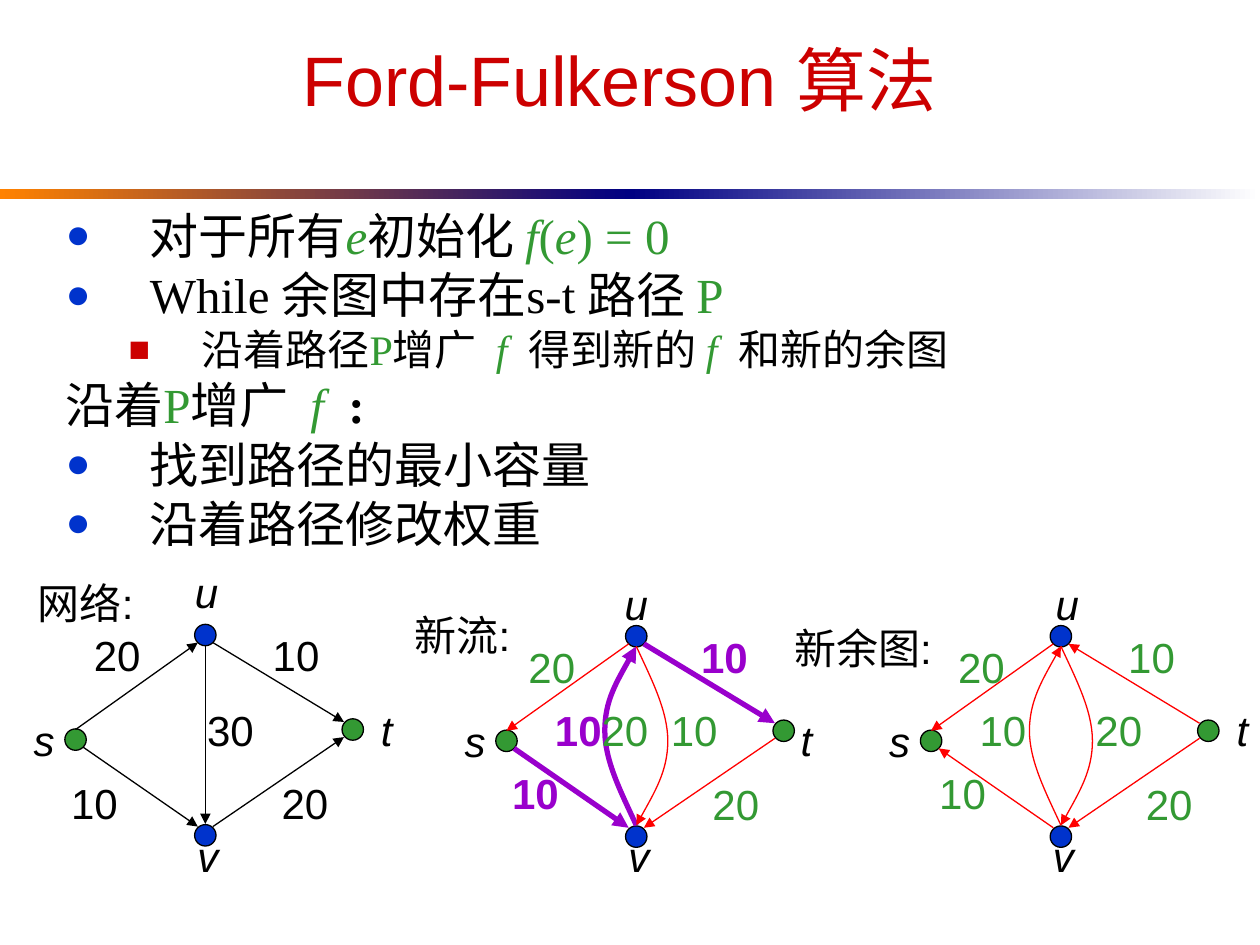
from lxml import etree
from pptx import Presentation
from pptx.dml.color import RGBColor
from pptx.enum.shapes import MSO_CONNECTOR, MSO_SHAPE
from pptx.enum.text import MSO_ANCHOR, MSO_AUTO_SIZE, PP_ALIGN
from pptx.oxml.ns import qn
from pptx.util import Inches, Pt

LINE, RECT, OVAL = MSO_CONNECTOR.STRAIGHT, MSO_SHAPE.RECTANGLE, MSO_SHAPE.OVAL
CENTER, MIDDLE, TOP = PP_ALIGN.CENTER, MSO_ANCHOR.MIDDLE, MSO_ANCHOR.TOP
NO_FIT = MSO_AUTO_SIZE.NONE

BLACK = RGBColor(0x00, 0x00, 0x00)
WHITE = RGBColor(0xFF, 0xFF, 0xFF)
CRIMSON = RGBColor(0xCC, 0x00, 0x00)
GREEN = RGBColor(0x33, 0x99, 0x33)
BLUE = RGBColor(0x00, 0x33, 0xCC)
RED = RGBColor(0xFF, 0x00, 0x00)
PURPLE = RGBColor(0x99, 0x00, 0xCC)
ORANGE = RGBColor(0xFF, 0x82, 0x00)
NAVY = RGBColor(0x00, 0x00, 0x82)

SANS, SERIF = "Arial", "Times New Roman"
THIN, THICK = 0.75, 3
NODE_SIZE = 0.17

# Run styles of the body text
PLAIN = {"color": BLACK}
MATH = {"color": GREEN}
VAR = {"color": GREEN, "italic": True}
BOLD = {"color": BLACK, "bold": True}

# Level, bullet, runs
BODY = [
    (0, "●", [("对于所有", PLAIN), ("e", VAR), ("初始化 ", PLAIN), ("f", VAR),
              ("(", MATH), ("e", VAR), (") = 0", MATH)]),
    (0, "●", [("While 余图中存在s-t 路径 ", PLAIN), ("P", MATH)]),
    (1, "■", [("沿着路径", PLAIN), ("P", MATH), ("增广  ", PLAIN), ("f  ", VAR),
              ("得到新的 ", PLAIN), ("f  ", VAR), ("和新的余图", PLAIN)]),
    (0, None, [("沿着", PLAIN), ("P", MATH), ("增广  ", PLAIN), ("f  ", VAR),
               (":", BOLD)]),
    (0, "●", [("找到路径的最小容量", PLAIN)]),
    (0, "●", [("沿着路径修改权重", PLAIN)]),
]
# Left margin, hanging indent, size, space before, bullet colour by level
LEVELS = [(0.67, -0.67, 28, 7, BLUE), (1.08, -0.58, 24, 6, CRIMSON)]

# Graph geometry in inches from the graph's own corner
NODES = {"s": (0.6, 1.37, GREEN), "u": (1.63, 0.54, BLUE),
         "t": (2.8, 1.29, GREEN), "v": (1.63, 2.13, BLUE)}
EDGES = {"su": ((0.6, 1.29), (1.57, 0.6)), "ut": ((1.69, 0.6), (2.73, 1.23)),
         "sv": ((0.66, 1.43), (1.57, 2.06)), "vt": ((1.69, 2.06), (2.73, 1.35)),
         "uv": ((1.63, 0.62), (1.63, 2.04))}
BEND = [(0.12, 0.26), (0.25, 0.51), (0.25, 0.75),
        (0.25, 0.99), (0.12, 1.2), (0, 1.42)]

# Corner, caption and its centre, node name places, edges, numbers
GRAPHS = [
    ((0, 4.5), "网络:", (0.68, 0.28),
     {"s": (0.35, 1.37), "u": (1.64, 0.2), "t": (3.07, 1.29), "v": (1.65, 2.29)},
     [(e, BLACK, THIN, False) for e in EDGES],
     [("20", 0.93, 0.7, BLACK), ("10", 2.35, 0.7, BLACK), ("30", 1.83, 1.29, BLACK),
      ("10", 0.75, 1.87, BLACK), ("20", 2.42, 1.87, BLACK)]),
    ((3.42, 4.51), "新流:", (0.25, 0.53),
     {"s": (0.35, 1.37), "u": (1.63, 0.28), "t": (2.98, 1.36), "v": (1.65, 2.28)},
     [("ut", PURPLE, THICK, False), ("us", RED, THIN, False),
      ("sv", PURPLE, THICK, False), ("tv", RED, THIN, False),
      ("vu", PURPLE, THICK, True), ("uv", RED, THIN, True)],
     [("20", 0.96, 0.78, GREEN), ("10", 2.33, 0.7, PURPLE), ("10", 0.83, 1.78, PURPLE),
      ("20", 2.42, 1.87, GREEN), ("10", 2.09, 1.28, GREEN),
      ("10", 1.17, 1.28, PURPLE), ("20", 1.54, 1.28, GREEN)]),
    ((6.79, 4.51), "新余图:", (0.06, 0.63),
     {"s": (0.35, 1.37), "u": (1.68, 0.28), "t": (3.07, 1.28), "v": (1.65, 2.28)},
     [("tu", RED, THIN, False), ("us", RED, THIN, False), ("vs", RED, THIN, False),
      ("tv", RED, THIN, False), ("vu", RED, THIN, True), ("uv", RED, THIN, True)],
     [("20", 1.0, 0.78, GREEN), ("10", 2.35, 0.7, GREEN), ("10", 0.85, 1.78, GREEN),
      ("20", 2.49, 1.87, GREEN), ("20", 2.09, 1.28, GREEN), ("10", 1.17, 1.28, GREEN)]),
]


def add_run(p, text, size, font, color=BLACK, **style):
    r = p.add_run()
    r.text = text
    r.font.color.rgb = color
    for name, value in {"size": Pt(size), "name": font, **style}.items():
        setattr(r.font, name, value)


def place(sp, *box):
    for name, value in zip(("left", "top", "width", "height"), box):
        setattr(sp, name, Inches(value))


def set_bullet(p, char, color):
    pPr = p._p.get_or_add_pPr()
    if char is None:
        etree.SubElement(pPr, qn("a:buNone"))
        return
    clr = etree.SubElement(pPr, qn("a:buClr"))
    etree.SubElement(clr, qn("a:srgbClr"), val=str(color))
    etree.SubElement(pPr, qn("a:buSzPct"), val="85000")
    etree.SubElement(pPr, qn("a:buFont"), typeface=SANS)
    etree.SubElement(pPr, qn("a:buChar"), char=char)


def add_title(s, text):
    sp = s.shapes.title
    place(sp, 0.33, 0, 9.17, 1.25)
    tf = sp.text_frame
    tf.auto_size, tf.vertical_anchor = NO_FIT, MIDDLE
    p = tf.paragraphs[0]
    p.alignment = CENTER
    add_run(p, text, 40, SANS, CRIMSON)


def add_body(s):
    sp = s.placeholders[1]
    place(sp, 0.42, 1.67, 9.42, 2.93)
    tf = sp.text_frame
    tf.auto_size, tf.vertical_anchor = NO_FIT, TOP
    for i, (level, bullet, runs) in enumerate(BODY):
        p = tf.add_paragraph() if i else tf.paragraphs[0]
        margin, indent, size, before, color = LEVELS[level]
        p.level, p.line_spacing, p.space_before = level, 0.8, Pt(before)
        pPr = p._p.get_or_add_pPr()
        pPr.set("marL", str(Inches(margin)))
        pPr.set("indent", str(Inches(indent)))
        set_bullet(p, bullet, color)
        for text, style in runs:
            add_run(p, text, size, SERIF, **style)


def add_band(s, x, start, end):
    sp = s.shapes.add_shape(RECT, Inches(x), Inches(1.5), Inches(5), Inches(0.08))
    sp.shadow.inherit = False
    sp.line.fill.background()
    sp.fill.gradient()
    sp.fill.gradient_angle = 0
    for stop, color in zip(sp.fill.gradient_stops, (start, end)):
        stop.color.rgb = color


def add_node(s, x, y, color):
    d = NODE_SIZE
    sp = s.shapes.add_shape(OVAL, *map(Inches, (x - d / 2, y - d / 2, d, d)))
    sp.shadow.inherit = False
    sp.fill.solid()
    sp.fill.fore_color.rgb = color
    sp.line.color.rgb, sp.line.width = BLACK, Pt(THIN)


def add_label(s, text, x, y, color=BLACK, **style):
    w, h = 0.3 + 0.27 * len(text), 0.5
    tf = s.shapes.add_textbox(*map(Inches, (x - w / 2, y - h / 2, w, h))).text_frame
    tf.word_wrap, tf.vertical_anchor = False, MIDDLE
    p = tf.paragraphs[0]
    p.alignment = CENTER
    add_run(p, text, 24, SANS, color, **style)


def add_curve(s, start, sign):
    """Two Bezier arcs; sign -1 turns the bend half round."""
    x, y = start
    points = [(Inches(x + sign * dx), Inches(y + sign * dy)) for dx, dy in BEND]
    fb = s.shapes.build_freeform(Inches(x), Inches(y))
    fb.add_line_segments(points, close=False)
    sp = fb.convert_to_shape()
    sp.shadow.inherit = False
    sp.fill.background()
    # Join each three line points into one cubic segment
    steps = list(sp._element.iter(qn("a:lnTo")))
    outline = steps[0].getparent()
    for i in range(0, len(steps), 3):
        cubic = etree.SubElement(outline, qn("a:cubicBezTo"))
        for step in steps[i:i + 3]:
            cubic.append(step[0])
            outline.remove(step)
    return sp


def add_edge(s, name, origin, color, width, curved):
    ends = EDGES[name] if name in EDGES else EDGES[name[::-1]][::-1]
    start, end = [(origin[0] + x, origin[1] + y) for x, y in ends]
    if curved:
        sp = add_curve(s, start, 1 if name in EDGES else -1)
    else:
        sp = s.shapes.add_connector(LINE, *map(Inches, start + end))
        etree.SubElement(sp._element.spPr, qn("a:effectLst"))
    sp.line.color.rgb, sp.line.width = color, Pt(width)
    etree.SubElement(sp.line._get_or_add_ln(), qn("a:tailEnd"), type="triangle")


def add_graph(s, origin, caption, caption_at, names, edges, numbers):
    ox, oy = origin
    for x, y, color in NODES.values():
        add_node(s, ox + x, oy + y, color)
    for name, color, width, curved in edges:
        add_edge(s, name, origin, color, width, curved)
    for name, (x, y) in names.items():
        add_label(s, name, ox + x, oy + y, italic=True)
    for text, x, y, color in numbers:
        add_label(s, text, ox + x, oy + y, color, bold=color == PURPLE)
    add_label(s, caption, ox + caption_at[0], oy + caption_at[1])


def main():
    prs = Presentation()
    prs.slide_width, prs.slide_height = Inches(10), Inches(7.5)
    s = prs.slides.add_slide(prs.slide_layouts[1])
    add_band(s, 0, ORANGE, NAVY)
    add_band(s, 5, NAVY, WHITE)
    add_title(s, "Ford-Fulkerson 算法")
    add_body(s)
    for graph in GRAPHS:
        add_graph(s, *graph)
    prs.save("out.pptx")


if __name__ == "__main__":
    main()
